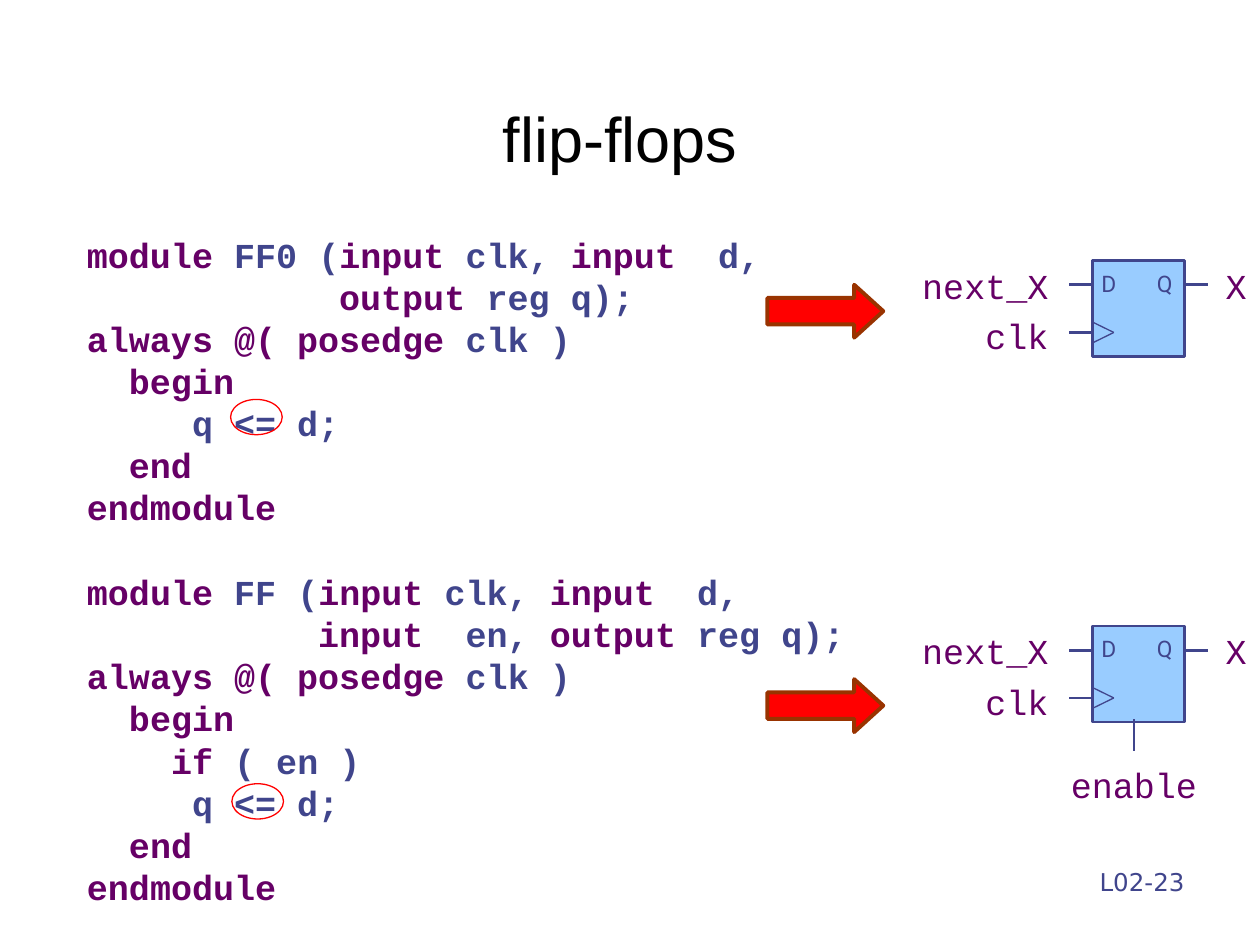
from pptx import Presentation
from pptx.dml.color import RGBColor
from pptx.enum.shapes import MSO_CONNECTOR as Connector, MSO_SHAPE as Preset
from pptx.enum.text import MSO_ANCHOR as Anchor, PP_ALIGN as Align
from pptx.oxml.ns import qn
from pptx.util import Pt
from lxml.etree import SubElement

INDIGO = "40458C"
PURPLE = "660066"
MONO = "Courier New"

FF0_CODE = """module| FF0 (|input| clk, |input|  d,
            output| reg q);
always @( posedge| clk )
  begin
|     q <= d;
  end
endmodule"""

FF_CODE = """module| FF (|input| clk, |input|  d,
           input|  en, |output| reg q);
always @( posedge| clk )
  begin
    if| ( en )
|     q <= d;
  end
endmodule"""


def color(value):
    return RGBColor.from_string(value)


class FlipFlopSlide:
    def __init__(self, presentation):
        self.slide = presentation.slides.add_slide(presentation.slide_layouts[6])
        self.shapes = self.slide.shapes

    def text(self, text, left, top, width, height, size=20, font=MONO,
             colors=(PURPLE, INDIGO), bold=False, align=Align.LEFT,
             anchor=Anchor.TOP, margins=(7.2, 3.6), wrap=True, spacing=None):
        box = self.shapes.add_textbox(Pt(left), Pt(top), Pt(width), Pt(height))
        frame = box.text_frame
        frame.word_wrap = wrap
        frame.vertical_anchor = anchor
        side, edge = margins
        frame.margin_left = frame.margin_right = Pt(side)
        frame.margin_top = frame.margin_bottom = Pt(edge)
        for index, line in enumerate(text.split("\n")):
            paragraph = frame.add_paragraph() if index else frame.paragraphs[0]
            paragraph.alignment = align
            if spacing:
                paragraph.line_spacing = Pt(spacing)
            for position, part in enumerate(line.split("|")):
                if not part:
                    continue
                run = paragraph.add_run()
                run.text = part
                run.font.size = Pt(size)
                run.font.name = font
                run.font.bold = bold
                run.font.color.rgb = color(colors[position % len(colors)])

    def code(self, text, top, width, height):
        self.text(text, 37.44, top, width, height, bold=True,
                  margins=(12.24, 14.5), spacing=24)

    def label(self, text, left, top, width, align):
        self.text(text, left, top, width, 31.68, align=align,
                  margins=(7.2, 6), wrap=False, spacing=24)

    def shape(self, preset, left, top, width, height, line, weight, fill=None):
        shape = self.shapes.add_shape(preset, Pt(left), Pt(top), Pt(width), Pt(height))
        shape.shadow.inherit = False
        if fill:
            shape.fill.solid()
            shape.fill.fore_color.rgb = color(fill)
        else:
            shape.fill.background()
        shape.line.color.rgb = color(line)
        shape.line.width = Pt(weight)
        return shape

    def line(self, x1, y1, x2, y2, weight=1.5):
        connector = self.shapes.add_connector(
            Connector.STRAIGHT, Pt(x1), Pt(y1), Pt(x2), Pt(y2))
        connector.line.color.rgb = color(INDIGO)
        connector.line.width = Pt(weight)
        SubElement(connector._element.spPr, qn("a:effectLst"))

    def arrow(self, top):
        arrow = self.shape(Preset.RIGHT_ARROW, 438.5, top, 66.24, 30.24,
                           "993300", 2.25, fill="FF0000")
        arrow.adjustments[0] = 0.5
        arrow.adjustments[1] = 0.55

    def circle(self, left, top):
        self.shape(Preset.OVAL, left, top, 29.52, 20.16, "FF0000", 0.75)

    def flip_flop(self, top, enable=False):
        left, right = 624.24, 676.8
        data, clock = top + 13.7, top + 41
        self.shape(Preset.RECTANGLE, left, top, right - left, 54.72,
                   INDIGO, 1.5, fill="99CCFF")
        for name, x in (("D", 629.3), ("Q", 661)):
            self.text(name, x, top + 5, 13, 15.84, size=13, font="Roboto",
                      colors=(INDIGO,), margins=(0, 0))
        for x, y in ((left, data), (right + 13.4, data), (left, clock)):
            self.line(x, y, x - 13.4, y)
        for offset in (-6, 6):
            self.line(left, clock + offset, left + 12.24, clock, weight=0.75)
        self.label("X", 693.36, top - 4, 25.92, Align.LEFT)
        self.label("next_X", 519.84, top - 4, 86.4, Align.RIGHT)
        self.label("clk", 555.84, top + 24.8, 50.4, Align.RIGHT)
        if enable:
            self.line(648, top + 53.3, 648, top + 71.3)
            self.label("enable", 604.8, top + 72.7, 86.4, Align.CENTER)


def main():
    presentation = Presentation()
    presentation.slide_width = Pt(720)
    presentation.slide_height = Pt(540)
    page = FlipFlopSlide(presentation)
    page.text("flip-flops", 48.24, 42.48, 612, 72, size=36, font="Arial",
              colors=("000000",), align=Align.CENTER, anchor=Anchor.MIDDLE)
    page.text("L02-23", 516.24, 491.76, 167.76, 37.44, size=14,
              font="DejaVu Sans", colors=(INDIGO,), align=Align.RIGHT)
    page.flip_flop(149)
    page.arrow(162.72)
    page.arrow(388.08)
    page.flip_flop(357.84, enable=True)
    page.code(FF_CODE, 311.76, 491.04, 216)
    page.code(FF0_CODE, 118.8, 412.56, 192.24)
    page.circle(131.76, 228.24)
    page.circle(132.48, 447.84)
    presentation.save("out.pptx")


if __name__ == "__main__":
    main()
